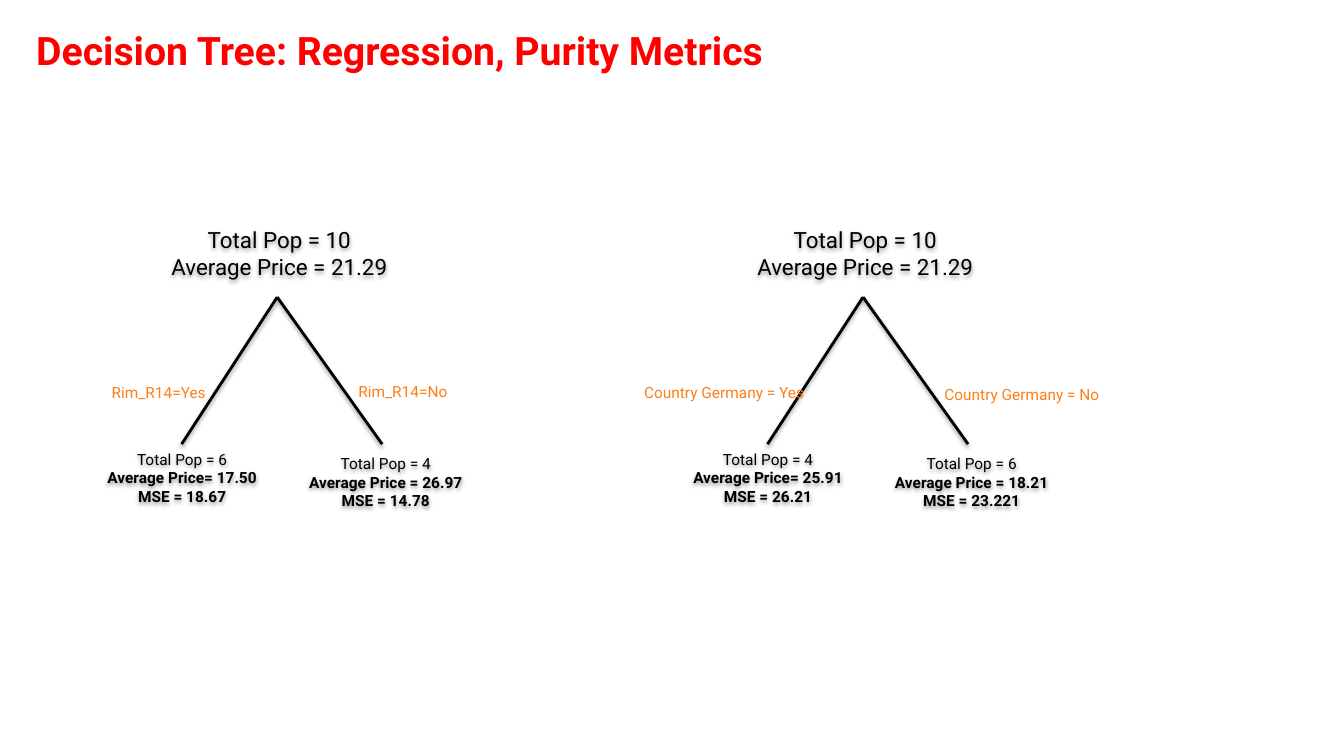
from pptx import Presentation
from pptx.dml.color import RGBColor
from pptx.enum.shapes import MSO_CONNECTOR
from pptx.enum.text import MSO_ANCHOR, PP_ALIGN
from pptx.oxml import parse_xml
from pptx.oxml.ns import nsdecls
from pptx.util import Pt

PX = 9525
COLORS = {"title": "FF0000", "node": "000000", "condition": "FE7F18"}


def add_shadow(element):
    element._element.spPr.append(parse_xml(
        f'<a:effectLst {nsdecls("a")}>'
        '<a:outerShdw blurRad="40000" dist="20000" dir="5400000" rotWithShape="0">'
        f'<a:srgbClr val="{COLORS["node"]}"><a:alpha val="38000"/></a:srgbClr>'
        '</a:outerShdw></a:effectLst>'))


def add_text(slide, lines, area, size=11, color="node", bold_from=None,
             align=PP_ALIGN.LEFT, anchor=MSO_ANCHOR.MIDDLE):
    label = slide.shapes.add_textbox(*(length * PX for length in area))
    frame = label.text_frame
    frame.word_wrap = True
    frame.vertical_anchor = anchor
    for index, line in enumerate(lines):
        paragraph = frame.paragraphs[0] if index == 0 else frame.add_paragraph()
        paragraph.alignment = align
        run = paragraph.add_run()
        run.text = line
        run.font.name = "Roboto"
        run.font.size = Pt(size)
        run.font.bold = bold_from is not None and index >= bold_from
        run.font.color.rgb = RGBColor.from_string(COLORS[color])
    return label


def add_node(slide, lines, area, **text_format):
    add_shadow(add_text(slide, lines, area, align=PP_ALIGN.CENTER, **text_format))


def add_branch(slide, start, end):
    branch = slide.shapes.add_connector(
        MSO_CONNECTOR.STRAIGHT, *(length * PX for length in start + end))
    branch.line.color.rgb = RGBColor.from_string(COLORS["node"])
    branch.line.width = Pt(2)
    add_shadow(branch)


def add_condition(slide, condition, left, top, width):
    add_text(slide, [condition], (left, top, width, 28),
             color="condition", anchor=MSO_ANCHOR.TOP)


def add_tree(slide, left, conditions, yes_leaf, no_leaf):
    for branch_end in (173, 364):
        add_branch(slide, (left + 264, 283), (left + branch_end, 423))
    for condition, offset, top, width in conditions:
        add_condition(slide, condition, left + offset, top, width)
    add_node(slide, ["Total Pop = 10", "Average Price = 21.29"],
             (left + 123, 204, 286, 74), size=16)
    add_node(slide, yes_leaf, (left + 83, 423, 181, 64), bold_from=1)
    add_node(slide, no_leaf, (left + 278, 429, 179, 60), bold_from=1)


def main():
    presentation = Presentation()
    presentation.slide_width = 1280 * PX
    presentation.slide_height = 720 * PX
    slide = presentation.slides.add_slide(presentation.slide_layouts[6])

    add_text(slide, ["Decision Tree: Regression, Purity Metrics"],
             (25, 17, 1175, 60), size=28, color="title", bold_from=0)
    add_tree(slide, 0,
             [("Rim_R14=Yes", 97, 360, 117), ("Rim_R14=No", 332, 359, 117)],
             ["Total Pop = 6", "Average Price= 17.50", "MSE = 18.67"],
             ["Total Pop = 4", "Average Price = 26.97", "MSE = 14.78"])
    add_tree(slide, 558,
             [("Country Germany = Yes", 46, 360, 174),
              ("Country Germany = No", 332, 362, 174)],
             ["Total Pop = 4", "Average Price= 25.91", "MSE = 26.21"],
             ["Total Pop = 6", "Average Price = 18.21", "MSE = 23.221"])

    presentation.save("out.pptx")


if __name__ == "__main__":
    main()
